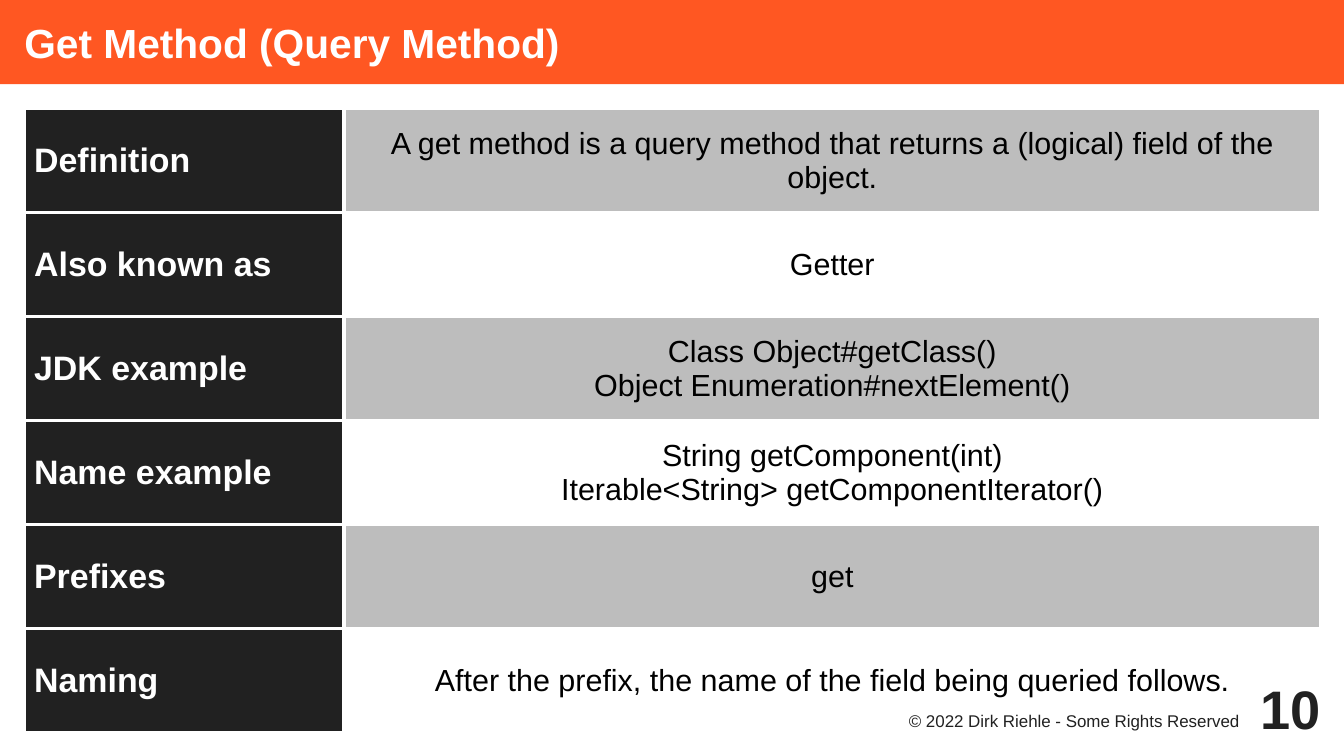
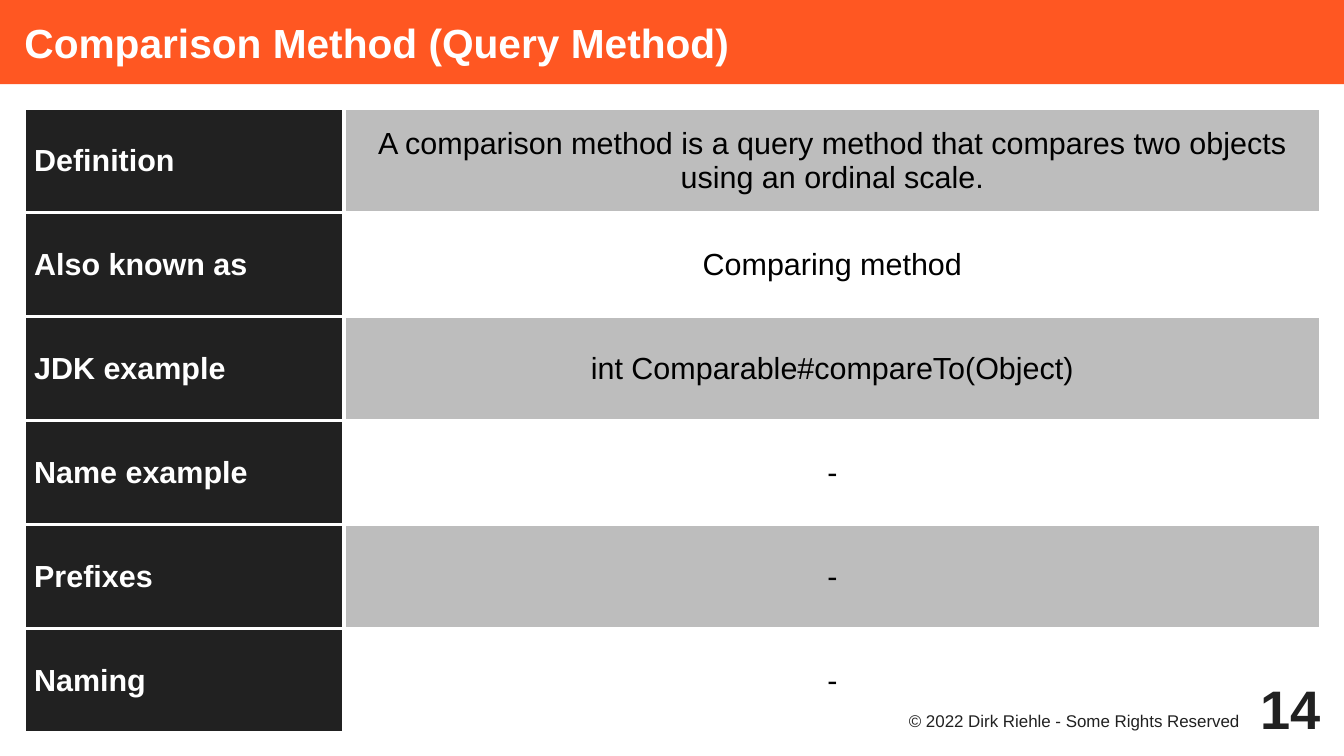
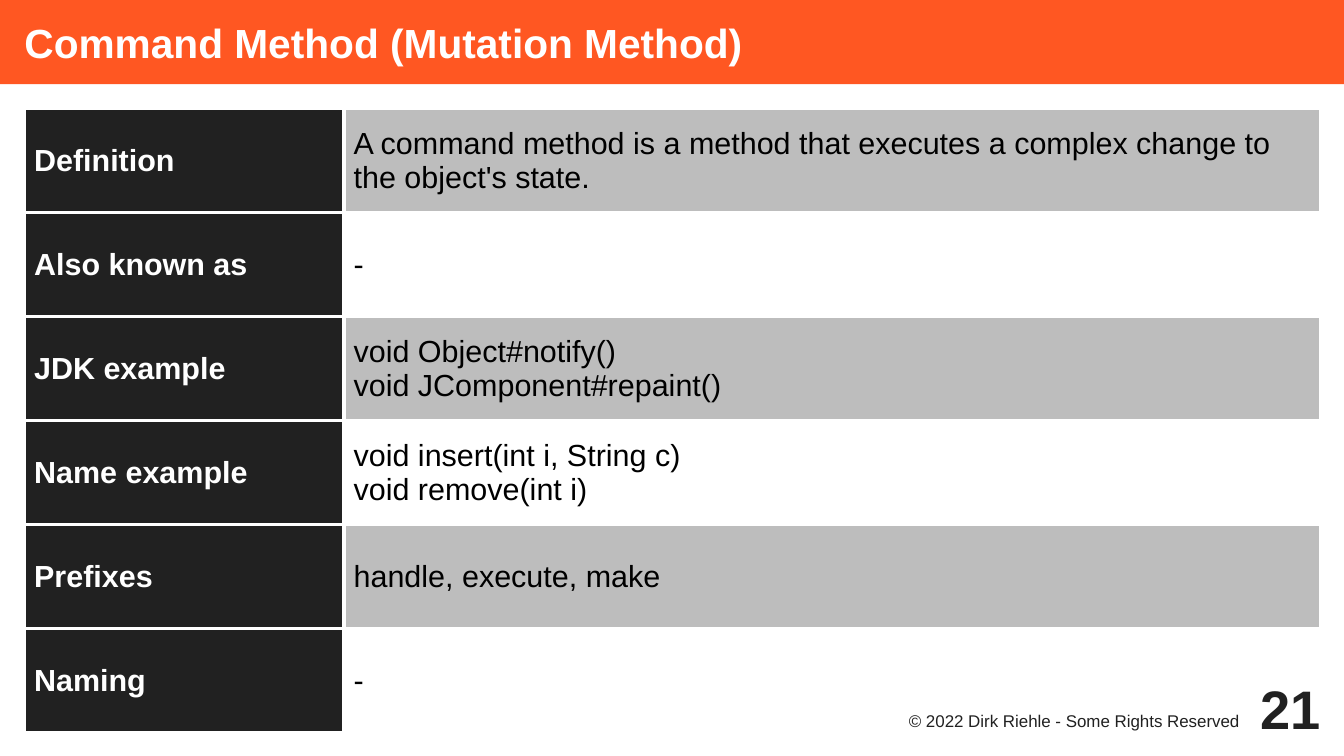
from lxml.etree import SubElement
from pptx import Presentation
from pptx.dml.color import RGBColor
from pptx.enum.shapes import MSO_SHAPE
from pptx.enum.text import MSO_ANCHOR, PP_ALIGN
from pptx.oxml.ns import qn
from pptx.util import Inches, Pt

COLORS = {
    "band": "FF5722",
    "dark": "212121",
    "stripe": "BDBDBD",
    "white": "FFFFFF",
    "black": "000000",
}
FONT = "Arial"
SLIDE_WIDTH, SLIDE_HEIGHT = 11.02, 6.2
TITLE_BOX = (0, 0, SLIDE_WIDTH, 0.69)
TABLE_BOX = (0.2, 0.89, 10.63, 5.12)
COPYRIGHT_BOX = (7.09, 5.81, 3.15, 0.3)
NUMBER_BOX = (10.04, 5.51, 0.79, 0.59)
LABEL_WIDTH = 2.62
BORDER_WIDTH = 2.27
COPYRIGHT = "© 2022 Dirk Riehle - Some Rights Reserved"
LABELS = ["Definition", "Also known as", "JDK example", "Name example", "Prefixes", "Naming"]

SLIDES = [
    {
        "title": "Get Method (Query Method)",
        "number": 10,
        "label_size": 20,
        "alignment": PP_ALIGN.CENTER,
        "values": [
            "A get method is a query method that returns a (logical) field of the object.",
            "Getter",
            "Class Object#getClass()\nObject Enumeration#nextElement()",
            "String getComponent(int)\nIterable<String> getComponentIterator()",
            "get",
            "After the prefix, the name of the field being queried follows.",
        ],
    },
    {
        "title": "Comparison Method (Query Method)",
        "number": 14,
        "label_size": 18,
        "alignment": PP_ALIGN.CENTER,
        "values": [
            "A comparison method is a query method that compares two objects using an ordinal scale.",
            "Comparing method",
            "int Comparable#compareTo(Object)",
            "-",
            "-",
            "-",
        ],
    },
    {
        "title": "Command Method (Mutation Method)",
        "number": 21,
        "label_size": 18,
        "alignment": PP_ALIGN.LEFT,
        "values": [
            "A command method is a method that executes a complex change to the object's state.",
            "-",
            "void Object#notify()\nvoid JComponent#repaint()",
            "void insert(int i, String c)\nvoid remove(int i)",
            "handle, execute, make",
            "-",
        ],
    },
]


def color(name):
    return RGBColor.from_string(COLORS[name])


def write_text(text_frame, text, size, color_name, bold=False, alignment=PP_ALIGN.LEFT):
    text_frame.text = text
    text_frame.word_wrap = True
    for paragraph in text_frame.paragraphs:
        paragraph.alignment = alignment
        for run in paragraph.runs:
            run.font.name = FONT
            run.font.size = Pt(size)
            run.font.bold = bold
            run.font.color.rgb = color(color_name)


def set_frame(text_frame, margins, anchor):
    left, top, right, bottom = (Inches(margin) for margin in margins)
    text_frame.margin_left, text_frame.margin_top = left, top
    text_frame.margin_right, text_frame.margin_bottom = right, bottom
    text_frame.vertical_anchor = anchor


def add_title_band(slide, box, title):
    band = slide.shapes.add_shape(MSO_SHAPE.RECTANGLE, *map(Inches, box))
    band.shadow.inherit = False
    band.fill.solid()
    band.fill.fore_color.rgb = color("band")
    band.line.fill.background()
    set_frame(band.text_frame, (0.2, 0, 0, 0), MSO_ANCHOR.MIDDLE)
    write_text(band.text_frame, title, 24, "white", bold=True)


def add_footer_text(slide, box, text, size, margins, anchor, bold=False):
    text_box = slide.shapes.add_textbox(*map(Inches, box))
    set_frame(text_box.text_frame, margins, anchor)
    write_text(text_box.text_frame, text, size, "dark", bold, PP_ALIGN.RIGHT)


def add_footer(slide, number):
    add_footer_text(slide, COPYRIGHT_BOX, COPYRIGHT, 10, (0, 0.02, 0.08, 0), MSO_ANCHOR.TOP)
    add_footer_text(slide, NUMBER_BOX, str(number), 32, (0, 0, 0, 0), MSO_ANCHOR.MIDDLE, bold=True)


def style_cell(cell, fill_name):
    properties = cell._tc.get_or_add_tcPr()
    for side in ("a:lnL", "a:lnR", "a:lnT", "a:lnB"):
        border = SubElement(properties, qn(side), w=str(Pt(BORDER_WIDTH)))
        fill = SubElement(border, qn("a:solidFill"))
        SubElement(fill, qn("a:srgbClr"), val=COLORS["white"])
    cell.fill.solid()
    cell.fill.fore_color.rgb = color(fill_name)
    cell.margin_left = cell.margin_right = Inches(0.08)
    cell.margin_top = cell.margin_bottom = Inches(0.05)
    cell.vertical_anchor = MSO_ANCHOR.MIDDLE


def add_method_table(slide, box, values, label_size, alignment):
    table = slide.shapes.add_table(len(LABELS), 2, *map(Inches, box)).table
    table.first_row = table.horz_banding = False
    table.columns[0].width = Inches(LABEL_WIDTH)
    table.columns[1].width = Inches(box[2] - LABEL_WIDTH)
    for row, (label, value) in enumerate(zip(LABELS, values)):
        label_cell, value_cell = table.cell(row, 0), table.cell(row, 1)
        style_cell(label_cell, "dark")
        style_cell(value_cell, "white" if row % 2 else "stripe")
        write_text(label_cell.text_frame, label, label_size, "white", bold=True)
        write_text(value_cell.text_frame, value, 18, "black", alignment=alignment)


def add_method_slide(presentation, content):
    slide = presentation.slides.add_slide(presentation.slide_layouts[6])
    slide.background.fill.solid()
    slide.background.fill.fore_color.rgb = color("white")
    add_title_band(slide, TITLE_BOX, content["title"])
    add_method_table(slide, TABLE_BOX, content["values"], content["label_size"], content["alignment"])
    add_footer(slide, content["number"])


def main():
    presentation = Presentation()
    presentation.slide_width = Inches(SLIDE_WIDTH)
    presentation.slide_height = Inches(SLIDE_HEIGHT)
    for content in SLIDES:
        add_method_slide(presentation, content)
    presentation.save("out.pptx")


if __name__ == "__main__":
    main()
